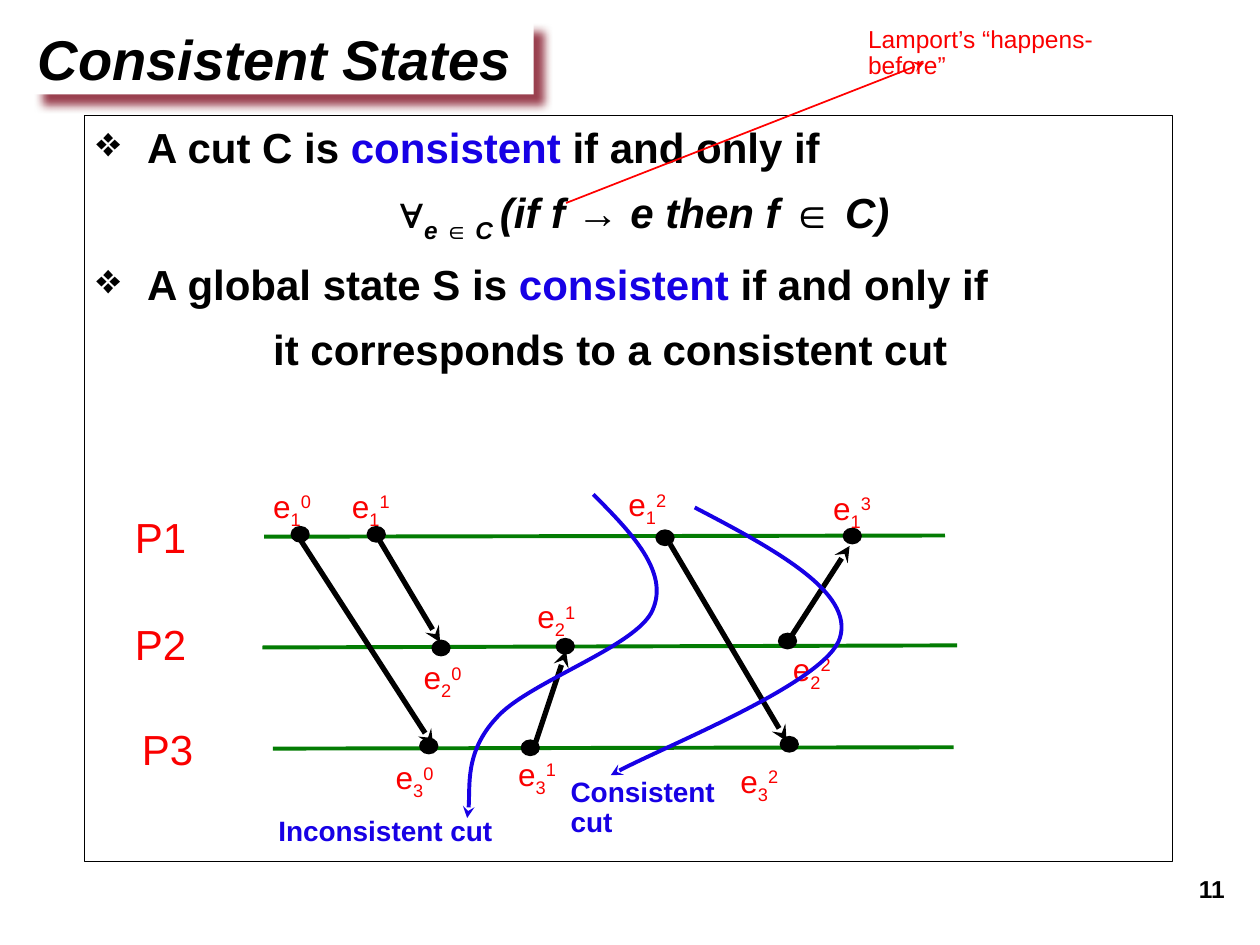
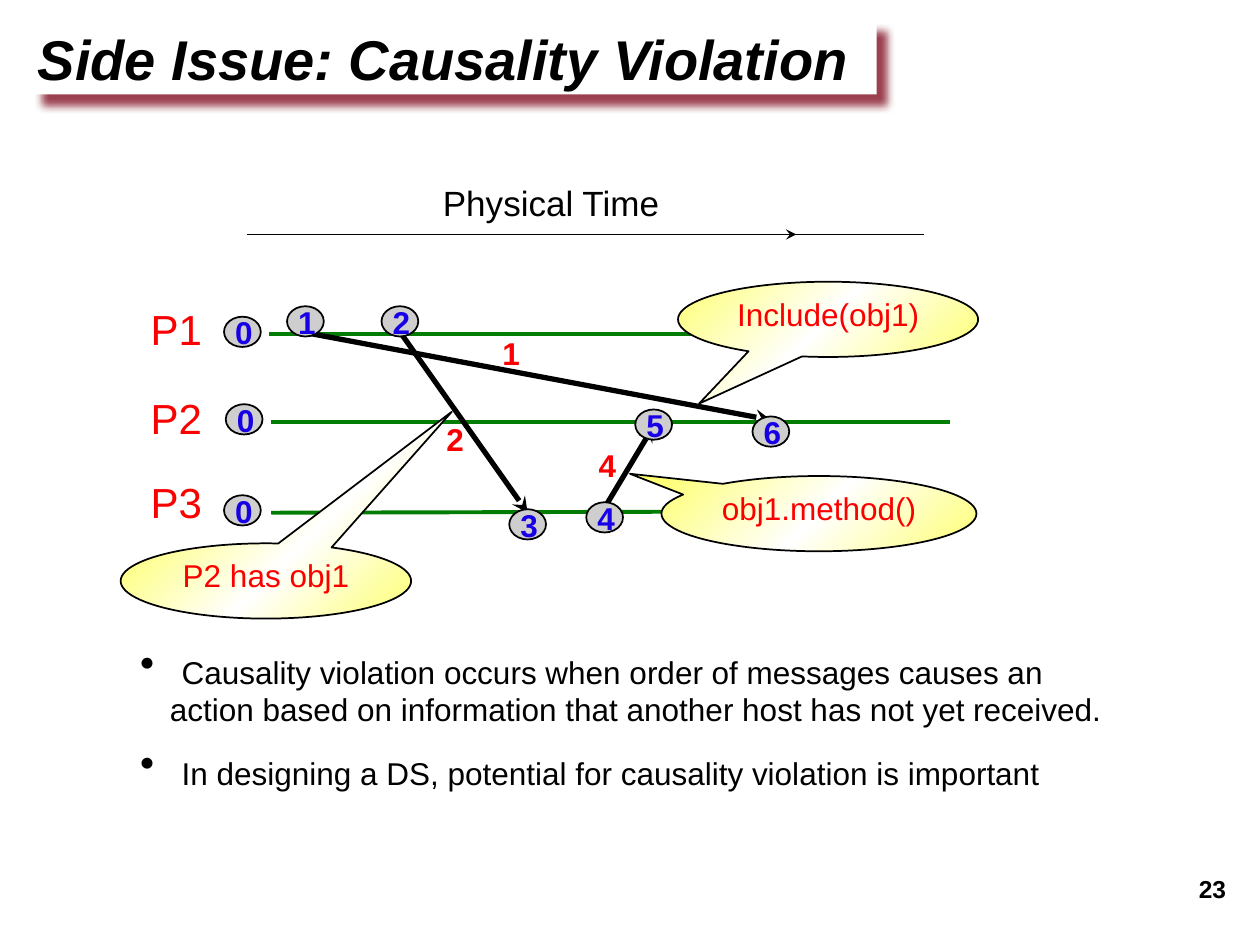
"""Build two slides on consistent cuts and causality violation."""
import copy
from dataclasses import dataclass, field
from typing import Any, NamedTuple

import pptx
import pptx.dml.color
import pptx.enum.shapes
import pptx.enum.text
import pptx.oxml.ns
import pptx.util
from lxml import etree

Pt = pptx.util.Pt
qn = pptx.oxml.ns.qn
SHAPES = pptx.enum.shapes.MSO_SHAPE
ALIGN = pptx.enum.text.PP_ALIGN
ANCHOR = pptx.enum.text.MSO_ANCHOR

BLACK, WHITE, RED, BLUE, GREEN = "000000", "FFFFFF", "FA0000", "1700E5", "037C03"
GRAY, YELLOW, MAROON = "CECECE", "FEFF72", "790015"
HOST = {"size": 24, "color": RED}
EVENT = {"size": 18, "color": RED}
CLOCK = {"size": 18, "color": BLUE, "bold": True}
BADGE = {"size": 18, "color": RED, "bold": True}
CUT = {"size": 16, "color": BLUE, "bold": True}
HEAD = {"size": 32, "bold": True, "italic": True}
BODY = {"size": 24, "bold": True}
SLANT = {**BODY, "italic": True}
TERM = {**BODY, "color": BLUE}
NOTE = {"size": 18}

Box = tuple[float, float, float, float]
Ends = tuple[float, float, float, float]


class Bit(NamedTuple):
    """A run of text; base is the raise in percent."""
    text: str
    form: dict[str, Any]
    base: int = 0


@dataclass
class Para:
    """A paragraph with its indent, bullet and spacing."""
    bits: list[Bit]
    left: float = 0
    mark: str = ""
    above: float = 0
    pitch: float = 0.9
    align: Any = ALIGN.LEFT


@dataclass
class Event:
    """A dot on a time line and the place of its label."""
    host: int
    step: int
    dot: tuple[float, float]
    label: tuple[float, float]


@dataclass
class Host:
    """A process name with its time line."""
    name: str
    spot: tuple[float, float]
    ends: Ends


@dataclass
class Cut:
    """A curve across the time lines with its name."""
    name: str
    box: Box
    points: list[tuple[float, float]] = field(default_factory=list)


class Call(NamedTuple):
    """A speech balloon with its pointer offsets."""
    text: str
    box: Box
    tip: tuple[float, float]


def hue(code: str) -> pptx.dml.color.RGBColor:
    """Turn a hex string into a colour."""
    return pptx.dml.color.RGBColor.from_string(code)


def apply(target: Any, values: dict[str, Any]) -> None:
    """Set every named attribute on the target."""
    for key, value in values.items():
        setattr(target, key, value)


def write(shape: Any, paras: list[Para], pads: tuple[float, float] = (7.2, 3.6),
          wrap: bool = True, anchor: Any = ANCHOR.TOP) -> None:
    """Fill a shape with paragraphs."""
    frame = shape.text_frame
    apply(frame, {"word_wrap": wrap, "vertical_anchor": anchor,
                  "margin_left": Pt(pads[0]), "margin_right": Pt(pads[0]),
                  "margin_top": Pt(pads[1]), "margin_bottom": Pt(pads[1])})
    for rank, para in enumerate(paras):
        line = frame.add_paragraph() if rank else frame.paragraphs[0]
        apply(line, {"alignment": para.align, "line_spacing": para.pitch,
                     "space_before": Pt(para.above)})
        props = line._p.get_or_add_pPr()
        props.set("marL", str(int(Pt(para.left))))
        if para.mark:
            props.set("indent", str(-int(Pt(para.left))))
            tint = etree.SubElement(props, qn("a:buClr"))
            etree.SubElement(tint, qn("a:srgbClr"), val=BLACK)
            etree.SubElement(props, qn("a:buChar"), char=para.mark)
        for bit in para.bits:
            run = line.add_run()
            run.text = bit.text
            form = {"name": "Arial", **bit.form}
            run.font.color.rgb = hue(form.pop("color", BLACK))
            form["size"] = Pt(form["size"])
            apply(run.font, form)
            if bit.base:
                run._r.get_or_add_rPr().set("baseline", str(bit.base * 1000))


def label(slide: Any, box: Box, paras: list[Para]) -> None:
    """Add a text box."""
    write(slide.shapes.add_textbox(*map(Pt, box)), paras)


def tag(slide: Any, box: Box, text: str, form: dict[str, Any]) -> None:
    """Add a text box with one run."""
    label(slide, box, [Para([Bit(text, form)])])


def form(slide: Any, kind: Any, box: Box, fill: str = "", edge: str = "",
         width: float = 1) -> Any:
    """Add a preset shape without shadow."""
    shape = slide.shapes.add_shape(kind, *map(Pt, box))
    shape.shadow.inherit = False
    paint(shape, fill, edge, width)
    return shape


def paint(shape: Any, fill: str, edge: str, width: float) -> None:
    """Set fill and outline; an empty colour means none."""
    for part, code in ((shape.fill, fill), (shape.line.fill, edge)):
        if code:
            part.solid()
            part.fore_color.rgb = hue(code)
        else:
            part.background()
    if edge:
        shape.line.width = Pt(width)


def point(shape: Any) -> None:
    """Put a stealth arrowhead at the end of a line."""
    etree.SubElement(shape.line._get_or_add_ln(), qn("a:tailEnd"), type="stealth")


def link(slide: Any, ends: Ends, code: str, width: float, arrow: bool = False) -> None:
    """Draw a straight line, with or without arrowhead."""
    kind = pptx.enum.shapes.MSO_CONNECTOR.STRAIGHT
    wire = slide.shapes.add_connector(kind, *map(Pt, ends))
    wire.line.color.rgb = hue(code)
    wire.line.width = Pt(width)
    if arrow:
        point(wire)
    etree.SubElement(wire._element.spPr, qn("a:effectLst"))


def curve(slide: Any, cut: Cut) -> None:
    """Draw a cut as cubic curves, three points to each."""
    first, *rest = [(Pt(x), Pt(y)) for x, y in cut.points]
    maker = slide.shapes.build_freeform(*first)
    maker.add_line_segments(rest, close=False)
    shape = maker.convert_to_shape()
    shape.shadow.inherit = False
    paint(shape, "", BLUE, 2.25)
    point(shape)
    track = next(shape._element.iter(qn("a:path")))
    legs = track.findall(qn("a:lnTo"))
    for start in range(0, len(legs), 3):
        bend = etree.SubElement(track, qn("a:cubicBezTo"))
        for leg in legs[start:start + 3]:
            bend.append(leg[0])
            track.remove(leg)
    tag(slide, cut.box, cut.name, CUT)


def balloon(slide: Any, call: Call) -> None:
    """Draw a speech balloon with a yellow and white gradient."""
    shape = form(slide, SHAPES.OVAL_CALLOUT, call.box, WHITE, BLACK)
    for rank, value in enumerate(call.tip):
        shape.adjustments[rank] = value
    shape.fill.gradient()
    shape.fill.gradient_angle = 315
    stops = next(shape._element.iter(qn("a:gsLst")))
    stops.append(copy.deepcopy(stops[0]))
    for rank, stop in enumerate(shape.fill.gradient_stops):
        stop.position = rank / 2
        stop.color.rgb = hue(WHITE if rank == 1 else YELLOW)
    write(shape, [Para([Bit(call.text, EVENT)], align=ALIGN.CENTER)])


def start(deck: Any, title: str, width: float, page: str) -> Any:
    """Add a slide with its shadowed title and page number."""
    slide = deck.slides.add_slide(deck.slide_layouts[6])
    label(slide, (642, 498, 78, 30), [Para([Bit(page, {"size": 14, "bold": True})], 36)])
    plate = form(slide, SHAPES.RECTANGLE, (18, 12, width, 42), WHITE)
    glow = etree.SubElement(plate._element.spPr.find(qn("a:effectLst")), qn("a:outerShdw"),
                            blurRad=str(int(Pt(5))), dist=str(int(Pt(8.5))),
                            dir="2700000", algn="ctr", rotWithShape="0")
    tint = etree.SubElement(glow, qn("a:srgbClr"), val=MAROON)
    etree.SubElement(tint, qn("a:alpha"), val="75000")
    write(plate, [Para([Bit(title + " ", HEAD)], pitch=1.0)], (3.6, 1.8), False, ANCHOR.MIDDLE)
    return slide


def lanes(slide: Any, hosts: list[Host], sends: list[Ends]) -> None:
    """Draw the time lines, their names and the messages."""
    for host in hosts:
        link(slide, host.ends, GREEN, 2.25)
        tag(slide, (*host.spot, 91, 33), host.name, HOST)
    for ends in sends:
        link(slide, ends, BLACK, 3, True)


def states(deck: Any) -> None:
    """Build the slide on consistent states."""
    slide = start(deck, "Consistent States", 287, "11")
    frame = form(slide, SHAPES.RECTANGLE, (48, 66, 622, 426), "", BLACK, 0.25)
    more = {"above": 8.3, "pitch": 1.0}
    write(frame, [
        Para([Bit("A cut C is ", BODY), Bit("consistent", TERM),
              Bit(" if and only if", BODY)], 29, "❖", pitch=1.0),
        Para([Bit("∀", SLANT), Bit("e ∈ C ", SLANT, -25),
              Bit("(if f → e then f ∈ C)", SLANT)], 173, **more),
        Para([Bit("A global state S is ", BODY), Bit("consistent ", TERM),
              Bit("if and only if", BODY)], 29, "❖", **more),
        Para([Bit("it corresponds to a consistent cut", BODY)], 101, **more)])
    lanes(slide, [Host("P1", (70, 292), (151, 306.7, 540, 306)),
                  Host("P2", (70, 353), (150, 370, 547, 368.8)),
                  Host("P3", (74, 413), (156, 427.8, 545, 427))],
          [(172, 309, 247.5, 426), (215.5, 306.5, 251.5, 367), (305.5, 426, 323.5, 372),
           (450, 367, 485.5, 312), (383, 311, 449.5, 423.5)])
    for event in (Event(1, 0, (166.5, 301), (149, 275)), Event(1, 1, (210, 301), (194, 275)),
                  Event(1, 2, (375, 303), (352, 274)), Event(1, 3, (482, 302), (469, 276)),
                  Event(2, 0, (247, 366), (235, 373)), Event(2, 1, (318, 365), (300, 338)),
                  Event(2, 2, (445, 362), (446, 368)), Event(3, 0, (240, 422), (219, 430)),
                  Event(3, 1, (298, 423), (289, 428)), Event(3, 2, (446, 421), (416, 432))):
        form(slide, SHAPES.OVAL, (*event.dot, 10, 8.6), BLACK, BLACK)
        label(slide, (*event.label, 44, 26.5), [Para([
            Bit("e", EVENT), Bit(str(event.host), EVENT, -25), Bit(str(event.step), EVENT, 30)])])
    curve(slide, Cut("Inconsistent cut", (152, 463.5, 153, 24.5), [
        (339, 282.5), (361, 304.5), (382.5, 327), (373, 348.5), (364.5, 369.5),
        (301, 390), (283.5, 410.5), (265.5, 430), (269.5, 458), (267, 467.5)]))
    curve(slide, Cut("Consistent cut", (319, 441, 124, 42), [
        (397, 290), (443, 314), (488, 338.5), (480, 364.5),
        (472.5, 389.5), (371, 430), (349, 443)]))
    tag(slide, (489, 12, 186, 22), "Lamport’s “happens-before”", {"size": 14, "color": RED})
    link(slide, (323.5, 116, 528, 36), "FF0000", 1, True)


def order(deck: Any) -> None:
    """Build the slide on causality violation."""
    slide = start(deck, "Side Issue: Causality Violation", 483, "23")
    lanes(slide, [Host("P1", (79, 173), (154, 191, 481, 191)),
                  Host("P2", (79, 224), (155, 241, 543, 241)),
                  Host("P3", (79, 272), (155, 293, 442, 292.3))],
          [(174, 190, 440.5, 240), (229.5, 191, 301.5, 293), (346.5, 288.5, 373.5, 243.5)])
    for text, x, y in (("1", 164, 175), ("2", 218, 175), ("3", 291, 291), ("4", 335, 287),
                       ("5", 363, 234), ("0", 128, 181), ("0", 129, 231), ("0", 128, 283),
                       ("6", 430, 238)):
        form(slide, SHAPES.OVAL, (x, y, 21, 17.3), GRAY, BLACK)
        tag(slide, (x - 0.7, y - 3, 17.3, 26.5), text, CLOCK)
    for text, x, y in (("1", 280, 190), ("2", 248, 239), ("4", 335, 254)):
        tag(slide, (x, y, 29, 26.5), text, BADGE)
    link(slide, (434, 134, 455, 134), BLACK, 1, True)
    link(slide, (141, 134, 528, 134), BLACK, 1)
    tag(slide, (246, 103, 181, 29), "Physical Time", {"size": 20})
    for call in (Call("Include(obj1)", (387.5, 161, 171.5, 43), (-0.43, 1.12)),
                 Call("obj1.method()", (378, 272, 180, 43), (-0.6, -0.53)),
                 Call("P2 has obj1", (69, 310.5, 166, 43), (0.64, -2.25))):
        balloon(slide, call)
    notes = ("Causality violation occurs when order of messages causes an action based on "
             "information that another host has not yet received.",
             "In designing a DS, potential for causality violation is important")
    label(slide, (73, 367, 572, 93), [
        Para([Bit(" ", {"size": 24}), Bit(text, NOTE)], 17, "•", 12 * rank)
        for rank, text in enumerate(notes)])


deck = pptx.Presentation()
apply(deck, {"slide_width": Pt(720), "slide_height": Pt(540)})
states(deck)
order(deck)
deck.save("out.pptx")
